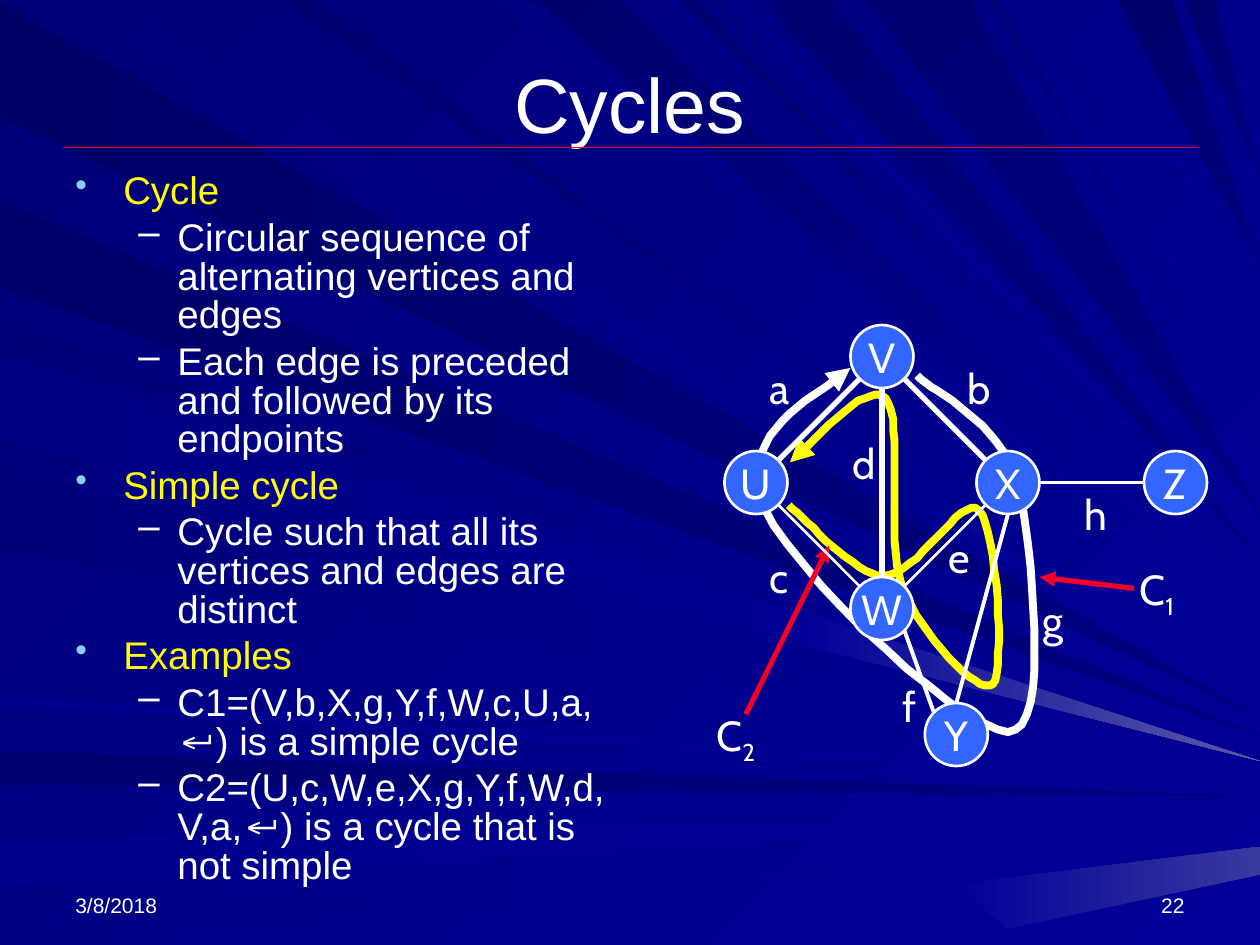
"""Build the Cycles slide: a bullet list beside a graph with two marked cycles."""
import math
from pptx import Presentation
from pptx import util as u
from pptx.dml.color import RGBColor
from pptx.enum import shapes, text
from pptx.oxml.xmlchemy import OxmlElement

PX = 9144
WHITE = RGBColor(0xFF, 0xFF, 0xFF)
YELLOW = RGBColor(0xFF, 0xFF, 0x00)
RED = RGBColor(0xEF, 0x01, 0x29)
BLUE = RGBColor(0x33, 0x66, 0xFF)
SKY = "86D1EC"
LEFT, MID, RIGHT = text.PP_ALIGN.LEFT, text.PP_ALIGN.CENTER, text.PP_ALIGN.RIGHT
TOP, HALF, LOW = text.MSO_ANCHOR.TOP, text.MSO_ANCHOR.MIDDLE, text.MSO_ANCHOR.BOTTOM


def stroke(shape, color, width, end=None):
    shape.line.color.rgb = color
    shape.line.width = u.Pt(width)
    if end:
        tip = OxmlElement(end)
        tip.set("type", "triangle")
        shape.line._get_or_add_ln().append(tip)
    shape._element.spPr.append(OxmlElement("a:effectLst"))


def write(frame, words, size, font, align, anchor, wrap, sub=""):
    frame.word_wrap = wrap
    frame.vertical_anchor = anchor
    frame.text = words
    para = frame.paragraphs[0]
    para.alignment = align
    if sub:
        low = para.add_run()
        low.text = sub
        low.font._rPr.set("baseline", "-25000")
    for run in para.runs:
        run.font.size = u.Pt(size)
        run.font.name = font
        run.font.color.rgb = WHITE


deck = Presentation()
deck.slide_width, deck.slide_height = 1000 * PX, 750 * PX
slide = deck.slides.add_slide(deck.slide_layouts[6])
tree = slide.shapes

back = slide.background.fill
back.gradient()
back.gradient_angle = 315
for stop, tone in zip(back.gradient_stops, ("000078", "000099")):
    stop.color.rgb = RGBColor.from_string(tone)

left = [(2, 93, 570, "69", "80"), (596, 623, 632, "71", "80"), (665, 704, 647, "8C", "99"),
        (735, 750, 662, "85", "99"), (258, 270, 589, "76", "99"), (159, 228, 585, "6B", "80"),
        (278, 342, 599, "7E", "99"), (374, 437, 606, "7B", "99"), (552, 560, 622, "8E", "99"),
        (283, 347, 604, "85", "99")]
above = [(26, 101, 563, "7B", "99"), (398, 416, 518, "83", "99"), (426, 492, 495, "6D", "99"),
         (540, 552, 463, "73", "99"), (606, 661, 446, "73", "80"), (225, 247, 550, "70", "99"),
         (577, 588, 454, "8E", "99"), (686, 770, 409, "73", "80"), (785, 792, 357, "78", "99"),
         (815, 824, 336, "85", "99"), (865, 872, 254, "8A", "99"), (887, 930, 210, "6B", "80"),
         (939, 964, 140, "6D", "80")]
rays = [([(0, a), (0, b), (1000, y)], "0000" + dark, "0000" + pale, 0) for a, b, y, dark, pale in left]
rays += [([(a, 0), (b, 0), (1000, y)], "0000" + dark, "0000" + pale, 315) for a, b, y, dark, pale in above]
rays += [([(637, 485), (633, 511), (1000, 604)], "000099", "5A5AA6", 0),
         ([(756, 702), (800, 737), (1000, 694), (1000, 672)], "000099", "39399E", 0)]
for dots, dark, pale, angle in rays:
    pen = tree.build_freeform(*dots[0], scale=PX)
    pen.add_line_segments(dots[1:], close=True)
    ray = pen.convert_to_shape()
    ray.shadow.inherit = False
    ray.line.fill.background()
    ray.fill.gradient()
    ray.fill.gradient_angle = angle
    for stop, tone in zip(ray.fill.gradient_stops, (dark, pale)):
        stop.color.rgb = RGBColor.from_string(tone)

for words, x, y, w, h, size, align, anchor in [
    ("3/8/2018", 50, 683, 233, 50, 12, LEFT, LOW),
    ("22", 717, 683, 233, 50, 12, RIGHT, LOW),
    ("Cycles", 50, 19, 900, 125, 44, MID, HALF),
]:
    box = tree.add_textbox(x * PX, y * PX, w * PX, h * PX)
    write(box.text_frame, words, size, "Arial", align, anchor, True)

items = [
    (0, "Cycle"),
    (1, "Circular sequence of alternating vertices and edges"),
    (1, "Each edge is preceded and followed by its endpoints"),
    (0, "Simple cycle"),
    (1, "Cycle such that all its vertices and edges are distinct"),
    (0, "Examples"),
    (1, "C1=(V,b,X,g,Y,f,W,c,U,a,↵) is a simple cycle"),
    (1, "C2=(U,c,W,e,X,g,Y,f,W,d,V,a,↵) is a cycle that is not simple"),
]
body = tree.add_textbox(50 * PX, 133 * PX, 442 * PX, 495 * PX).text_frame
body.word_wrap = True
for spot, (level, words) in enumerate(items):
    para = body.add_paragraph() if spot else body.paragraphs[0]
    para.text = words
    para.level = level
    props = para._p.get_or_add_pPr()
    props.set("marL", str((38, 81)[level] * PX))
    props.set("indent", str((-38, -31)[level] * PX))
    if level == 0:
        tint = OxmlElement("a:buClr")
        hue = OxmlElement("a:srgbClr")
        hue.set("val", SKY)
        tint.append(hue)
        ratio = OxmlElement("a:buSzPct")
        ratio.set("val", "90000")
        props.append(tint)
        props.append(ratio)
    mark = OxmlElement("a:buChar")
    mark.set("char", "•–"[level])
    props.append(mark)
    para.line_spacing = 0.84
    if spot:
        para.space_before = u.Pt(4.4)
    run = para.runs[0]
    run.font.size = u.Pt(22)
    run.font.name = "Arial"
    run.font.color.rgb = (YELLOW, WHITE)[level]

curves = [
    (WHITE, "a:tailEnd", [(728, 298), (741, 312), (795, 335), (807, 382), (819, 430), (835, 582), (800, 581),
                          (765, 581), (596, 430), (600, 379), (604, 328), (659, 310), (675, 292)]),
    (YELLOW, "a:headEnd", [(627, 367), (640, 358), (688, 299), (703, 316), (718, 332), (702, 428), (716, 466),
                           (730, 503), (777, 553), (788, 543), (798, 533), (791, 419), (777, 405),
                           (763, 391), (727, 458), (702, 457), (677, 457), (642, 413), (626, 401)]),
]
STEPS = 16
for color, end, knots in curves:
    dots = []
    for at in range(0, len(knots) - 1, 3):
        for step in range(1, STEPS + 1):
            t = step / STEPS
            parts = ((1 - t) ** 3, 3 * t * (1 - t) ** 2, 3 * t * t * (1 - t), t ** 3)
            dots.append([sum(p * k[axis] for p, k in zip(parts, knots[at:at + 4])) for axis in (0, 1)])
    pen = tree.build_freeform(*knots[0], scale=PX)
    pen.add_line_segments(dots, close=False)
    curve = pen.convert_to_shape()
    curve.fill.background()
    stroke(curve, color, 4.5, end)

RAD = 25
nodes = {"X": (800, 383), "U": (600, 383), "V": (700, 283),
         "W": (700, 483), "Z": (933, 383), "Y": (759, 583)}
for name, (x, y) in nodes.items():
    node = tree.add_shape(shapes.MSO_SHAPE.OVAL, (x - RAD) * PX, (y - RAD) * PX, 2 * RAD * PX, 2 * RAD * PX)
    node.fill.solid()
    node.fill.fore_color.rgb = BLUE
    stroke(node, WHITE, 1.5)
    write(node.text_frame, name, 24, "Cabin", MID, HALF, False)

lines = [(50, 117, 950, 117, RED, 0.75, None),
         (592, 567, 658, 433, RED, 3, "a:tailEnd"),
         (900, 467, 825, 458, RED, 3, "a:tailEnd")]
for (one, two), width in [("VU", 3), ("WU", 1.5), ("WX", 1.5), ("XZ", 1.5),
                          ("VX", 3), ("VW", 3), ("WY", 2.25), ("XY", 2.25)]:
    (x, y), (far, down) = nodes[one], nodes[two]
    turn = round(math.atan2(down - y, far - x) * 4 / math.pi) * math.pi / 4
    dx, dy = round(RAD * math.cos(turn)), round(RAD * math.sin(turn))
    lines.append((x + dx, y + dy, far - dx, down - dy, WHITE, width, None))
for x, y, far, down, color, width, end in lines:
    edge = tree.add_connector(shapes.MSO_CONNECTOR.STRAIGHT, x * PX, y * PX, far * PX, down * PX)
    stroke(edge, color, width, end)

for name, x, y in [("a", 619, 283), ("c", 618, 433), ("b", 777, 283), ("e", 761, 417), ("d", 686, 342),
                   ("f", 722, 535), ("g", 836, 467), ("h", 870, 383), ("C1", 918, 442), ("C2", 584, 558)]:
    wide = 38 if len(name) == 1 else 52
    label = tree.add_textbox((x - wide // 2) * PX, y * PX, wide * PX, 50 * PX).text_frame
    write(label, name[0], 24, "Cabin", MID, TOP, False, name[1:])
    label.auto_size = text.MSO_AUTO_SIZE.SHAPE_TO_FIT_TEXT

deck.save("out.pptx")
